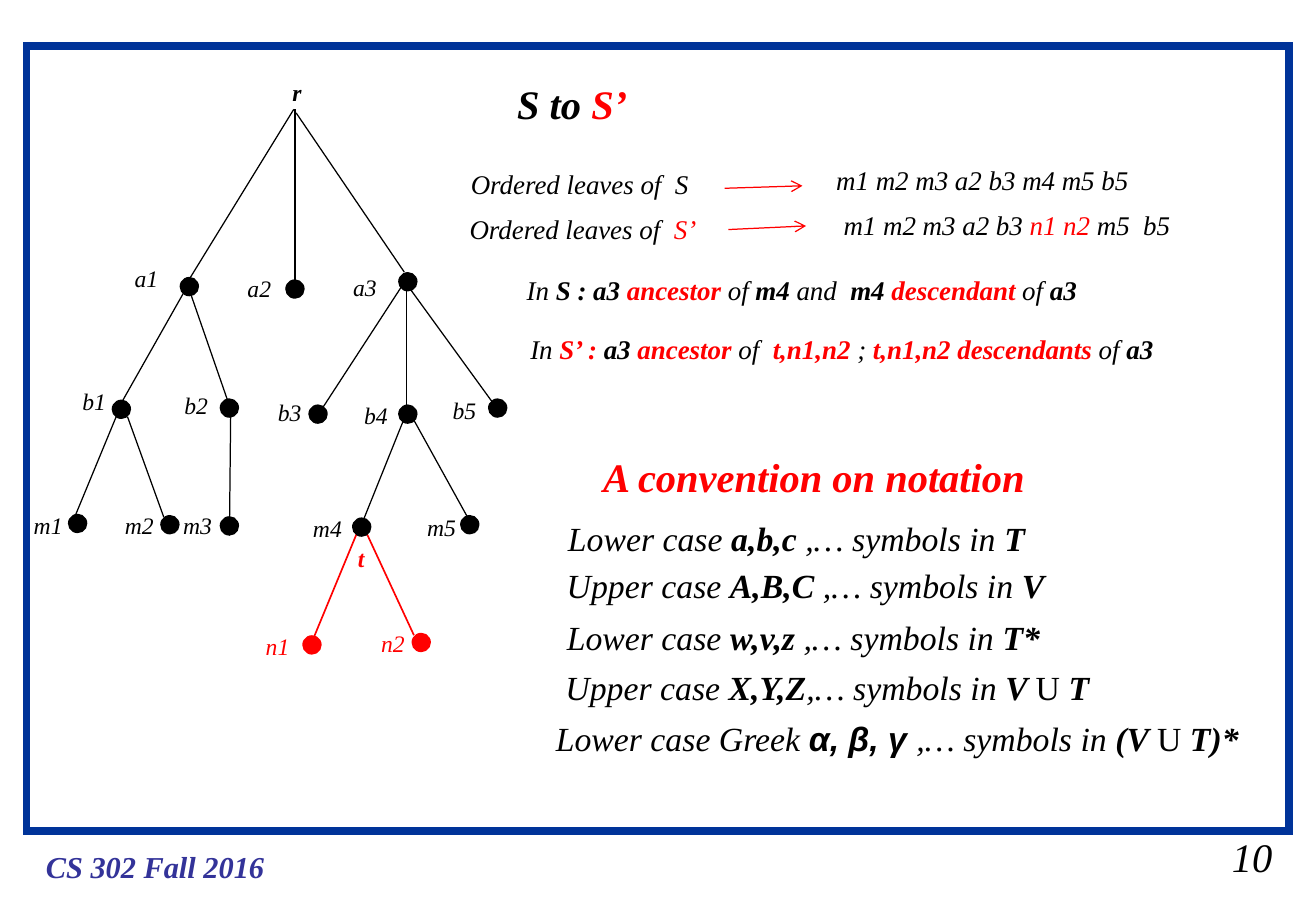
"""Build the slide on ordered leaves of S and S' and the notation convention."""
from dataclasses import dataclass
from typing import Any, NamedTuple

from lxml import etree
from pptx import Presentation
from pptx import util as u
from pptx.dml.color import RGBColor
from pptx.enum import shapes, text
from pptx.oxml import ns

BLACK = RGBColor(0x00, 0x00, 0x00)
RED = RGBColor(0xFF, 0x00, 0x00)
FRAME_BLUE = RGBColor(0x00, 0x33, 0x99)
FOOTER_BLUE = RGBColor(0x33, 0x33, 0x99)

BASE = {"name": "Times New Roman", "italic": True, "bold": False, "color": BLACK}
FRAME_FORMAT = {"word_wrap": True, "margin_right": u.Inches(0),
                "vertical_anchor": text.MSO_ANCHOR.TOP,
                "auto_size": text.MSO_AUTO_SIZE.SHAPE_TO_FIT_TEXT}
PLAIN: dict[str, Any] = {}
BOLD = {"bold": True}
RED_PLAIN = {"color": RED}
RED_BOLD = BOLD | RED_PLAIN
FOOTER = BOLD | {"color": FOOTER_BLUE}
UPRIGHT = {"italic": False}
GREEK = BOLD | {"name": "Arial"}

DOT = 0.16
LABEL_HEIGHT = 0.34
LABEL_SIZE = 14
SYMBOLS = (" ,… symbols in ", PLAIN)
LOWER = ("Lower case ", PLAIN)
UPPER = ("Upper case ", PLAIN)
UNION = ("U", UPRIGHT)


class Node(NamedTuple):
    name: str
    left: float
    top: float
    label_left: float
    label_top: float
    color: RGBColor = BLACK


class Line(NamedTuple):
    x1: float
    y1: float
    x2: float
    y2: float
    color: RGBColor = BLACK
    width: float = 0.74
    arrow: bool = False


@dataclass
class Caption:
    left: float
    top: float
    width: float
    height: float
    size: int
    spans: list[tuple[str, dict[str, Any]]]


NODES = [
    Node("a1", 1.48, 2.28, 1.01, 2.12),
    Node("a2", 2.35, 2.30, 1.94, 2.21),
    Node("a3", 3.28, 2.24, 2.81, 2.20),
    Node("b1", 0.92, 3.29, 0.58, 3.14),
    Node("b2", 1.81, 3.28, 1.42, 3.17),
    Node("b3", 2.54, 3.33, 2.19, 3.23),
    Node("b4", 3.28, 3.33, 2.90, 3.25),
    Node("b5", 4.02, 3.28, 3.63, 3.21),
    Node("m1", 0.56, 4.23, 0.18, 4.16),
    Node("m2", 1.32, 4.24, 0.93, 4.16),
    Node("m3", 1.81, 4.25, 1.41, 4.16),
    Node("m4", 2.90, 4.26, 2.48, 4.18),
    Node("m5", 3.79, 4.24, 3.42, 4.17),
    Node("n1", 2.49, 5.23, 2.09, 5.15, RED),
    Node("n2", 3.39, 5.21, 3.04, 5.13, RED),
]

LINES = [
    Line(2.42, 0.90, 1.54, 2.33),
    Line(2.43, 0.90, 2.43, 2.41),
    Line(2.44, 0.93, 3.33, 2.24),
    Line(1.53, 2.38, 0.97, 3.37),
    Line(1.54, 2.33, 1.89, 3.34),
    Line(3.34, 2.31, 2.63, 3.40),
    Line(3.35, 2.31, 3.35, 3.46),
    Line(3.35, 2.34, 4.07, 3.33),
    Line(0.97, 3.40, 0.61, 4.27),
    Line(1.05, 3.43, 1.35, 4.26),
    Line(1.90, 3.42, 1.89, 4.41),
    Line(3.34, 3.42, 2.99, 4.29),
    Line(3.41, 3.46, 3.88, 4.31),
    Line(2.94, 4.39, 2.58, 5.26, RED, 0.99),
    Line(3.02, 4.39, 3.41, 5.23, RED, 0.99),
    Line(5.97, 1.55, 6.61, 1.53, RED, arrow=True),
    Line(6.00, 1.89, 6.64, 1.86, RED, arrow=True),
]

TITLE = Caption(4.16, 0.6, 1.11, 0.5, 24, [("S to ", BOLD), ("S’", RED_BOLD)])

CAPTIONS = [
    Caption(0.28, 6.93, 2, 0.4, 18, [("CS 302 Fall 2016", FOOTER)]),
    Caption(10.05, 6.8, 0.53, 0.5, 24, [("10", PLAIN)]),
    Caption(2.31, 0.59, 0.27, LABEL_HEIGHT, LABEL_SIZE, [("r", BOLD)]),
    Caption(2.85, 4.43, 0.4, LABEL_HEIGHT, LABEL_SIZE, [("t", RED_BOLD)]),
    Caption(3.78, 1.33, 2.09, 0.37, 16, [("Ordered leaves of  S", PLAIN)]),
    Caption(6.79, 1.3, 2.73, 0.37, 16, [("m1 m2 m3 a2 b3 m4 m5 b5", PLAIN)]),
    Caption(3.77, 1.7, 2.13, 0.37, 16,
            [("Ordered leaves of  ", PLAIN), ("S’", RED_PLAIN)]),
    Caption(6.85, 1.67, 3.05, 0.37, 16,
            [("m1 m2 m3 a2 b3 ", PLAIN), ("n1 n2 ", RED_PLAIN), ("m5  b5", PLAIN)]),
    Caption(4.24, 2.2, 4.79, 0.37, 16,
            [("In ", PLAIN), ("S : a3 ", BOLD), ("ancestor", RED_BOLD), (" of ", PLAIN),
             ("m4", BOLD), (" and  ", PLAIN), ("m4 ", BOLD), ("descendant", RED_BOLD),
             (" of ", PLAIN), ("a3 ", BOLD)]),
    Caption(4.27, 2.69, 5.66, 0.37, 16,
            [("In ", PLAIN), ("S’ : ", RED_BOLD), ("a3 ", BOLD), ("ancestor", RED_BOLD),
             (" of  ", PLAIN), ("t,n1,n2 ", RED_BOLD), ("; ", PLAIN),
             ("t,n1,n2 descendants", RED_BOLD), (" of ", PLAIN), ("a3 ", BOLD)]),
    Caption(4.87, 3.67, 3.69, 0.5, 24, [("A convention on notation", RED_BOLD)]),
    Caption(4.58, 4.21, 3.96, 0.44, 20, [LOWER, ("a,b,c", BOLD), SYMBOLS, ("T", BOLD)]),
    Caption(4.57, 4.6, 4.13, 0.44, 20, [UPPER, ("A,B,C", BOLD), SYMBOLS, ("V", BOLD)]),
    Caption(4.57, 5.03, 4.12, 0.44, 20, [LOWER, ("w,v,z", BOLD), SYMBOLS, ("T*", BOLD)]),
    Caption(4.56, 5.44, 4.54, 0.44, 20,
            [UPPER, ("X,Y,Z", BOLD), (",… symbols in ", PLAIN), ("V ", BOLD),
             UNION, (" T", BOLD)]),
    Caption(4.48, 5.86, 6.02, 0.44, 20,
            [LOWER, ("Greek ", PLAIN), ("α, β, γ ", GREEK), (",… symbols in ", PLAIN),
             ("(V ", BOLD), UNION, (" T)*", BOLD)]),
]


def set_all(target: Any, values: dict[str, Any]) -> None:
    """Set every named attribute on the target."""
    for name, value in values.items():
        setattr(target, name, value)


def write_caption(box: Any, caption: Caption) -> None:
    """Place a box and fill it with formatted spans."""
    set_all(box, {side: u.Inches(getattr(caption, side))
                  for side in ("left", "top", "width", "height")})
    set_all(box.text_frame, FRAME_FORMAT)
    para = box.text_frame.paragraphs[0]
    para.alignment = text.PP_ALIGN.LEFT
    for words, style in caption.spans:
        span = para.add_run()
        span.text = words
        values = BASE | style | {"size": u.Pt(caption.size)}
        span.font.color.rgb = values.pop("color")
        set_all(span.font, values)


def add_caption(page: Any, caption: Caption) -> None:
    """Add a text box for a caption."""
    write_caption(page.shapes.add_textbox(0, 0, 0, 0), caption)


def add_line(page: Any, line: Line) -> None:
    """Draw a tree edge or an arrow."""
    ends = [u.Inches(value) for value in line[:4]]
    connector = page.shapes.add_connector(shapes.MSO_CONNECTOR.STRAIGHT, *ends)
    connector.line.color.rgb = line.color
    connector.line.width = u.Pt(line.width)
    if line.arrow:
        etree.SubElement(connector.line._get_or_add_ln(), ns.qn("a:tailEnd"), type="arrow")
    etree.SubElement(connector._element.spPr, ns.qn("a:effectLst"))


def add_node(page: Any, node: Node) -> None:
    """Draw a tree node with its label."""
    place = [u.Inches(value) for value in (node.left, node.top, DOT, DOT)]
    dot = page.shapes.add_shape(shapes.MSO_SHAPE.OVAL, *place)
    dot.shadow.inherit = False
    dot.fill.solid()
    dot.fill.fore_color.rgb = node.color
    dot.line.fill.background()
    width = 0.44 if node.name.startswith("m") else 0.39
    add_caption(page, Caption(node.label_left, node.label_top, width, LABEL_HEIGHT,
                              LABEL_SIZE, [(node.name, {"color": node.color})]))


def add_frame(page: Any) -> None:
    """Draw the blue frame with square corners around the content."""
    place = [u.Inches(value) for value in (0.22, 0.38, 10.4, 6.46)]
    frame = page.shapes.add_shape(shapes.MSO_SHAPE.RECTANGLE, *place)
    frame.shadow.inherit = False
    frame.fill.background()
    frame.line.color.rgb = FRAME_BLUE
    frame.line.width = u.Pt(4.51)
    etree.SubElement(frame.line._get_or_add_ln(), ns.qn("a:miter"), lim="800000")


deck = Presentation()
set_all(deck, {"slide_width": u.Inches(10.84), "slide_height": u.Inches(7.5)})
page = deck.slides.add_slide(deck.slide_layouts[5])
add_frame(page)
write_caption(page.shapes.title, TITLE)
for line in LINES:
    add_line(page, line)
for node in NODES:
    add_node(page, node)
for caption in CAPTIONS:
    add_caption(page, caption)
deck.save("out.pptx")
